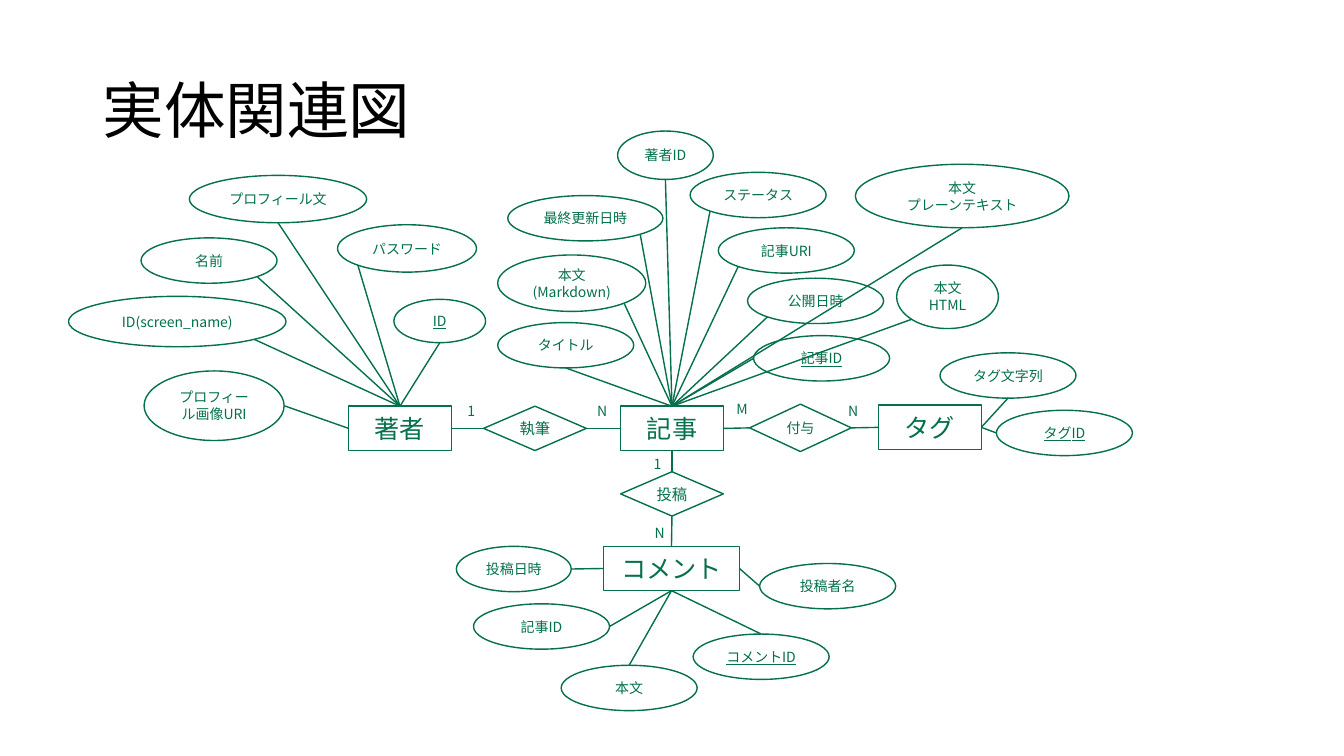
from dataclasses import dataclass
from math import sqrt

from lxml.etree import SubElement
from pptx import Presentation
from pptx.dml.color import RGBColor
from pptx.enum.shapes import MSO_CONNECTOR, MSO_SHAPE
from pptx.enum.text import MSO_ANCHOR, MSO_AUTO_SIZE, PP_ALIGN
from pptx.oxml.ns import qn
from pptx.util import Inches, Pt

GREEN = RGBColor(0x04, 0x70, 0x4C)
BLACK = RGBColor(0x00, 0x00, 0x00)
FONT = "Noto Sans CJK JP"
CELL = Inches(0.1)
COLUMNS, ROWS = 133.4, 75

TOP, LEFT, BOTTOM, RIGHT = range(4)
DIAGONAL = sqrt(0.5)
AT_TOP, AT_BOTTOM = (0, -1), (0, 1)
AT_LEFT, AT_RIGHT = (-1, 0), (1, 0)
LOWER_LEFT, LOWER_RIGHT = (-DIAGONAL, DIAGONAL), (DIAGONAL, DIAGONAL)


@dataclass
class Attribute:
    text: str
    left: float
    top: float
    side: int
    site: tuple
    width: float = 13.5
    height: float = 4.5
    is_key: bool = False


ENTITIES = {
    "著者": (34.6, 40.3, 10.2, 4.4),
    "記事": (61.6, 40.3, 10.2, 4.4),
    "タグ": (87.2, 40.2, 10.2, 4.4),
    "コメント": (59.9, 54.2, 13.5, 4.4),
}

RELATIONSHIPS = [
    ("執筆", 11, (48, 40.3, 10.2, 4.4), ("著者", RIGHT, LEFT), ("記事", LEFT, RIGHT)),
    ("付与", 10, (74.4, 40.1, 10.1, 4.7), ("記事", RIGHT, LEFT), ("タグ", LEFT, RIGHT)),
    ("投稿", 11, (61.6, 46.8, 10.2, 4.4), ("記事", BOTTOM, TOP), ("コメント", TOP, BOTTOM)),
]

CARDINALITIES = [
    ("1", 45.4, 39.4, 2.8),
    ("N", 58.3, 39.4, 3),
    ("M", 72.1, 39.2, 3.2),
    ("N", 83.2, 39.4, 3),
    ("1", 63.9, 44.7, 2.8),
    ("N", 64, 51.5, 3),
]

ATTRIBUTES = {
    "著者": [
        Attribute("プロフィール文", 18.8, 17.4, TOP, AT_BOTTOM, 17.6, 4.7),
        Attribute("パスワード", 33.5, 22.3, TOP, LOWER_LEFT, 13.8, 4.7),
        Attribute("名前", 14, 23.6, TOP, LOWER_RIGHT),
        Attribute("ID(screen_name)", 6.8, 29.4, TOP, LOWER_RIGHT, 21.6, 5),
        Attribute("ID", 39.1, 29.7, TOP, AT_BOTTOM, 9.1, 4.3, True),
        Attribute("プロフィール画像URI", 14.3, 36.8, LEFT, AT_RIGHT, 13.9, 6.9),
    ],
    "記事": [
        Attribute("著者ID", 61.3, 13, TOP, AT_BOTTOM, 9.5, 4.8),
        Attribute("ステータス", 68.5, 17.1, TOP, LOWER_LEFT),
        Attribute("最終更新日時", 50.4, 19.4, TOP, LOWER_RIGHT, 15.4),
        Attribute("記事URI", 71.3, 22.6, TOP, LOWER_LEFT),
        Attribute("本文(Markdown)", 49.4, 25.3, TOP, LOWER_RIGHT, 14.7, 5.6),
        Attribute("公開日時", 74.2, 27.6, TOP, LOWER_LEFT),
        Attribute("タイトル", 49.4, 32, TOP, AT_BOTTOM),
        Attribute("記事ID", 74.8, 33.3, TOP, AT_LEFT, is_key=True),
        Attribute("本文\nプレーンテキスト", 84.9, 16.3, TOP, AT_BOTTOM, 21.2, 6.3),
        Attribute("本文\nHTML", 89, 26.3, TOP, LOWER_LEFT, 10.1, 6.3),
    ],
    "タグ": [
        Attribute("タグ文字列", 93.3, 35, RIGHT, AT_BOTTOM),
        Attribute("タグID", 98.9, 40.7, RIGHT, AT_LEFT, is_key=True),
    ],
    "コメント": [
        Attribute("投稿日時", 45.3, 54.2, LEFT, AT_RIGHT, 11.4),
        Attribute("投稿者名", 75.4, 55.9, RIGHT, AT_LEFT),
        Attribute("記事ID", 47, 59.9, BOTTOM, AT_RIGHT),
        Attribute("コメントID", 68.8, 62.9, BOTTOM, AT_TOP, is_key=True),
        Attribute("本文", 55.7, 66, BOTTOM, AT_TOP),
    ],
}


def cells(*lengths):
    return [round(length * CELL) for length in lengths]


def write_text(shape, text, size, color=GREEN, align=PP_ALIGN.LEFT, underline=None):
    shape.text_frame.text = text
    for para in shape.text_frame.paragraphs:
        para.alignment = align
        for span in para.runs:
            span.font.size = Pt(size)
            span.font.name = FONT
            span.font.color.rgb = color
            span.font.underline = underline
            SubElement(span.font._element, qn("a:ea"), typeface=FONT)


def add_title(page, text):
    box = page.shapes.add_textbox(*cells(9.2, 4, 115, 14.5))
    box.text_frame.word_wrap = True
    box.text_frame.vertical_anchor = MSO_ANCHOR.MIDDLE
    write_text(box, text, 44, BLACK)
    box.text_frame.paragraphs[0].line_spacing = 0.9


def add_node(page, kind, text, area, size, underline=None):
    node = page.shapes.add_shape(kind, *cells(*area))
    node.shadow.inherit = False
    node.fill.background()
    node.line.color.rgb = GREEN
    node.line.width = Pt(1)
    node.text_frame.word_wrap = True
    node.text_frame.vertical_anchor = MSO_ANCHOR.MIDDLE
    write_text(node, text, size, align=PP_ALIGN.CENTER, underline=underline)
    return node


def add_line(page, node, side, end=(0, 0)):
    line = page.shapes.add_connector(MSO_CONNECTOR.STRAIGHT, 0, 0, *cells(*end))
    line.begin_connect(node, side)
    line.line.color.rgb = GREEN
    line.line.width = Pt(1)
    SubElement(line._element.spPr, qn("a:effectLst"))
    return line


def add_relationship(page, entities, text, size, area, *links):
    diamond = add_node(page, MSO_SHAPE.FLOWCHART_DECISION, text, area, size)
    for name, entity_side, diamond_side in links:
        line = add_line(page, entities[name], entity_side)
        line.end_connect(diamond, diamond_side)


def add_attribute(page, entity, item):
    area = (item.left, item.top, item.width, item.height)
    add_node(page, MSO_SHAPE.OVAL, item.text, area, 10, item.is_key or None)
    across, down = item.site
    end = (item.left + item.width * (1 + across) / 2,
           item.top + item.height * (1 + down) / 2)
    add_line(page, entity, item.side, end)


def add_cardinality(page, text, left, top, width):
    box = page.shapes.add_textbox(*cells(left, top, width, 2.7))
    box.text_frame.word_wrap = False
    box.text_frame.auto_size = MSO_AUTO_SIZE.SHAPE_TO_FIT_TEXT
    write_text(box, text, 10)


def main():
    deck = Presentation()
    deck.slide_width, deck.slide_height = cells(COLUMNS, ROWS)
    page = deck.slides.add_slide(deck.slide_layouts[6])
    add_title(page, "実体関連図")
    entities = {
        name: add_node(page, MSO_SHAPE.FLOWCHART_PROCESS, name, area, 18)
        for name, area in ENTITIES.items()
    }
    for relationship in RELATIONSHIPS:
        add_relationship(page, entities, *relationship)
    for cardinality in CARDINALITIES:
        add_cardinality(page, *cardinality)
    for name, items in ATTRIBUTES.items():
        for item in items:
            add_attribute(page, entities[name], item)
    deck.save("out.pptx")


if __name__ == "__main__":
    main()
